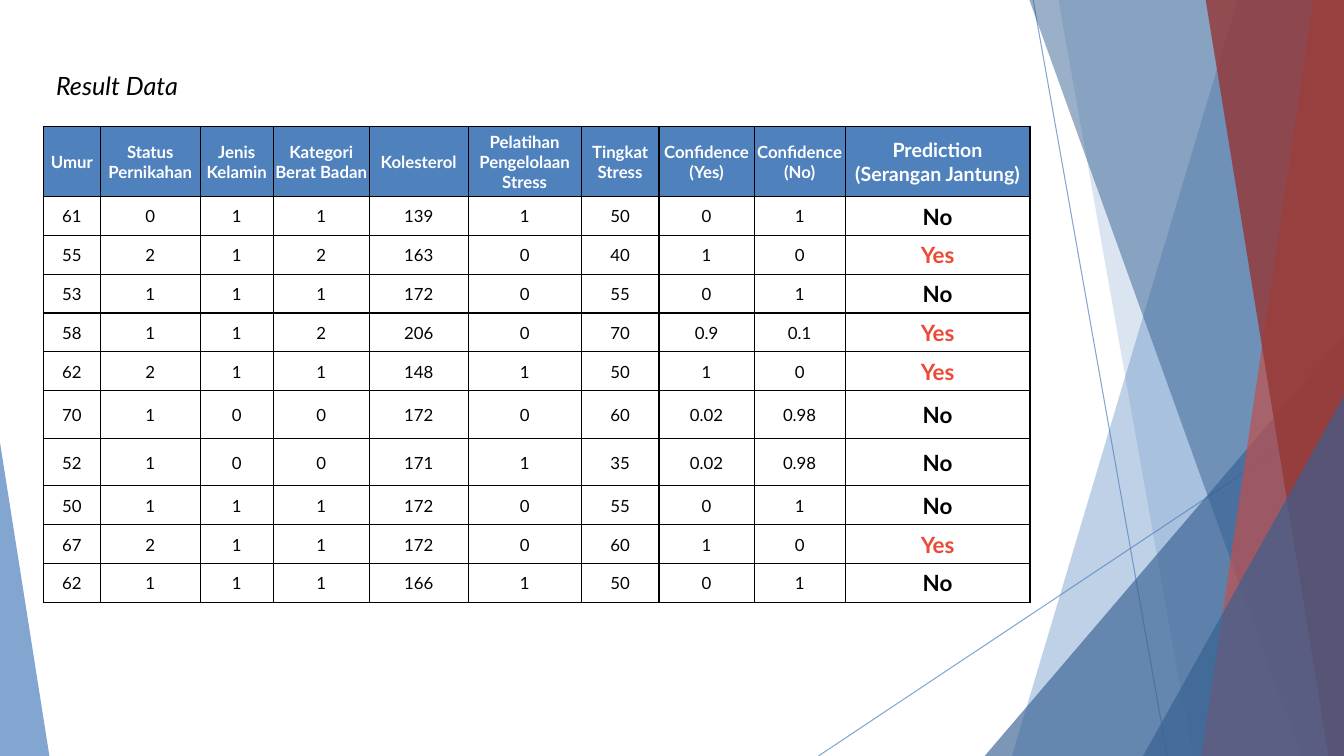
from lxml.etree import SubElement
from pptx import Presentation
from pptx.dml.color import RGBColor
from pptx.enum.shapes import MSO_CONNECTOR as Connector, MSO_SHAPE as Preset
from pptx.enum.text import MSO_ANCHOR as Anchor, MSO_AUTO_SIZE as AutoSize, PP_ALIGN as Align
from pptx.oxml import parse_xml
from pptx.oxml.ns import nsdecls, qn
from pptx.util import Pt

WIDTH, HEIGHT = 960, 540
BLUE, NAVY, RED, DARK_RED = "4F81BD", "376092", "C0504D", "953735"
WHITE, BLACK, ALERT = "FFFFFF", "000000", "EB4A36"

HEADERS = [
    "Umur", "Status Pernikahan", "Jenis Kelamin", "Kategori Berat Badan", "Kolesterol",
    "Pelatihan Pengelolaan Stress", "Tingkat Stress", "Confidence\n(Yes)",
    "Confidence\n(No)", "Prediction\n(Serangan Jantung)",
]
PATIENTS = [
    "61 0 1 1 139 1 50 0 1 No",
    "55 2 1 2 163 0 40 1 0 Yes",
    "53 1 1 1 172 0 55 0 1 No",
    "58 1 1 2 206 0 70 0.9 0.1 Yes",
    "62 2 1 1 148 1 50 1 0 Yes",
    "70 1 0 0 172 0 60 0.02 0.98 No",
    "52 1 0 0 171 1 35 0.02 0.98 No",
    "50 1 1 1 172 0 55 0 1 No",
    "67 2 1 1 172 0 60 1 0 Yes",
    "62 1 1 1 166 1 50 0 1 No",
]
COLUMN_WIDTHS = [40.7, 71.4, 52.1, 68.6, 70.7, 80.7, 55.7, 67.9, 65, 132.1]
ROW_HEIGHTS = [50] + [27.75] * 5 + [34] * 2 + [27.75] * 3


def rgb(value):
    """Turn a hex string into a colour."""
    return RGBColor.from_string(value)


def set_alpha(shape, percent):
    """Set the opacity of the first colour of a shape."""
    color = shape.element.spPr.find(".//" + qn("a:srgbClr"))
    SubElement(color, qn("a:alpha"), val=str(percent * 1000))


def write(frame, text, size=12, color=BLACK, bold=False, italic=False,
          align=Align.LEFT, font="Lato"):
    """Write text into a frame, one paragraph a line."""
    for index, line in enumerate(text.split("\n")):
        paragraph = frame.add_paragraph() if index else frame.paragraphs[0]
        paragraph.alignment = align
        run = paragraph.add_run()
        run.text = line
        run.font.name, run.font.size = font, Pt(size)
        run.font.bold, run.font.italic = bold, italic
        run.font.color.rgb = rgb(color)


def add_borders(cell, color=BLACK, width=1):
    """Draw the four borders of a table cell."""
    properties = cell._tc.get_or_add_tcPr()
    for index, side in enumerate(("lnL", "lnR", "lnT", "lnB")):
        properties.insert(index, parse_xml(
            f'<a:{side} {nsdecls("a")} w="{Pt(width)}"><a:solidFill>'
            f'<a:srgbClr val="{color}"/></a:solidFill></a:{side}>'))


class SlideBuilder:
    """Holds the current slide and adds styled elements to it."""

    def __init__(self, slide):
        """Keep the slide to draw on."""
        self.slide = slide
        self.shapes = slide.shapes

    def paint(self, shape, color, alpha):
        """Give a shape a see-through fill, no outline and no shadow."""
        shape.shadow.inherit = False
        shape.fill.solid()
        shape.fill.fore_color.rgb = rgb(color)
        shape.line.fill.background()
        set_alpha(shape, alpha)

    def line(self, start, end):
        """Add a thin blue line."""
        connector = self.shapes.add_connector(
            Connector.STRAIGHT, *map(Pt, start + end))
        connector.line.width = Pt(0.75)
        connector.line.color.rgb = rgb(BLUE)
        set_alpha(connector, 70)
        SubElement(connector.element.spPr, qn("a:effectLst"))

    def panel(self, top_left, bottom_left, color, alpha):
        """Add a slanted full-height panel that ends at the right edge."""
        top = -0.6
        corners = [(WIDTH, top), (WIDTH, HEIGHT), (bottom_left, HEIGHT)]
        builder = self.shapes.build_freeform(Pt(top_left), Pt(top))
        builder.add_line_segments([(Pt(x), Pt(y)) for x, y in corners])
        self.paint(builder.convert_to_shape(), color, alpha)

    def triangle(self, left, top, width, tip, color, alpha):
        """Add a triangle that stands on the bottom edge."""
        shape = self.shapes.add_shape(
            Preset.ISOSCELES_TRIANGLE, Pt(left), Pt(top), Pt(width), Pt(HEIGHT - top))
        shape.adjustments[0] = tip
        self.paint(shape, color, alpha)

    def text(self, left, top, width, height, text, **style):
        """Add a wrapping text box that grows with its text."""
        frame = self.shapes.add_textbox(Pt(left), Pt(top), Pt(width), Pt(height)).text_frame
        frame.word_wrap = True
        frame.auto_size = AutoSize.SHAPE_TO_FIT_TEXT
        write(frame, text, **style)

    def cell(self, cell, text, fill=None, **style):
        """Fill and border one table cell."""
        cell.vertical_anchor = Anchor.MIDDLE
        cell.margin_left = cell.margin_right = cell.margin_top = Pt(0.75)
        cell.margin_bottom = Pt(0)
        if fill:
            cell.fill.solid()
            cell.fill.fore_color.rgb = rgb(fill)
        else:
            cell.fill.background()
        add_borders(cell)
        write(cell.text_frame, text, align=Align.CENTER, **style)

    def result_table(self, left, top):
        """Add the table of patients and their predictions."""
        table = self.shapes.add_table(
            len(ROW_HEIGHTS), len(COLUMN_WIDTHS), Pt(left), Pt(top),
            Pt(sum(COLUMN_WIDTHS)), Pt(sum(ROW_HEIGHTS))).table
        table.first_row = table.horz_banding = False
        for column, width in zip(table.columns, COLUMN_WIDTHS):
            column.width = Pt(width)
        for row, height in zip(table.rows, ROW_HEIGHTS):
            row.height = Pt(height)
        last = len(HEADERS) - 1
        for index, header in enumerate(HEADERS):
            self.cell(table.cell(0, index), header, fill=BLUE, color=WHITE,
                      bold=True, size=14 if index == last else 12)
        for row, patient in enumerate(PATIENTS, 1):
            *values, prediction = patient.split()
            for index, value in enumerate(values):
                self.cell(table.cell(row, index), value)
            self.cell(table.cell(row, last), prediction, size=16, bold=True,
                      color=ALERT if prediction == "Yes" else BLACK)


def main():
    """Build the slide and save it."""
    presentation = Presentation()
    presentation.slide_width, presentation.slide_height = Pt(WIDTH), Pt(HEIGHT)
    builder = SlideBuilder(presentation.slides.add_slide(presentation.slide_layouts[6]))

    builder.line((738, 0), (833.8, HEIGHT))
    builder.line((WIDTH, 290.2), (584.6, HEIGHT))
    builder.panel(884.2, 722.9, BLUE, 36)
    builder.panel(756, 851.8, BLUE, 20)
    builder.triangle(703.4, 239.8, 256.6, 1, NAVY, 66)
    builder.panel(735.1, 929.5, NAVY, 50)
    builder.panel(938.2, 858.2, RED, 70)
    builder.panel(861.1, 949, DARK_RED, 80)
    builder.triangle(816.5, 283, 143.5, 1, NAVY, 66)
    builder.triangle(0, 316.1, 35.3, 0, BLUE, 70)

    builder.text(33, 46.8, 676.8, 29, "Result Data", size=18, italic=True)
    builder.result_table(31, 90.4)
    presentation.save("out.pptx")


main()
